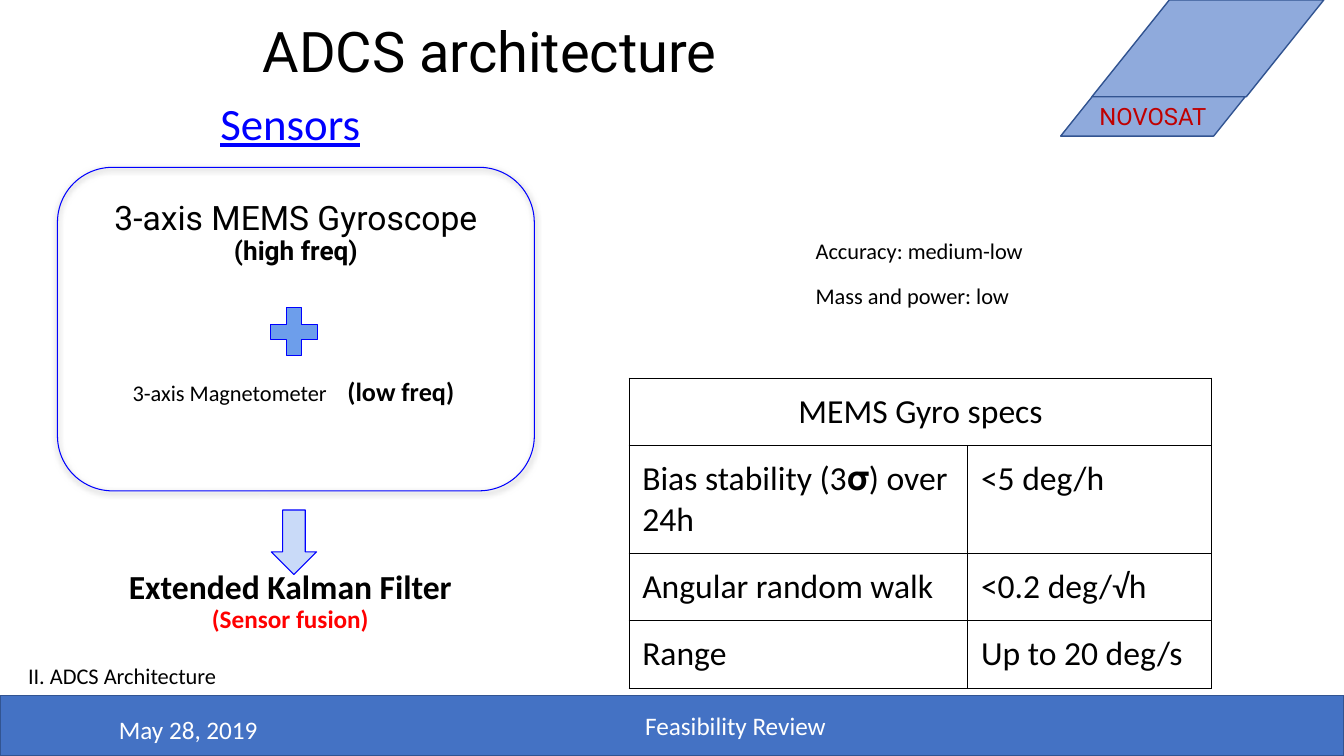
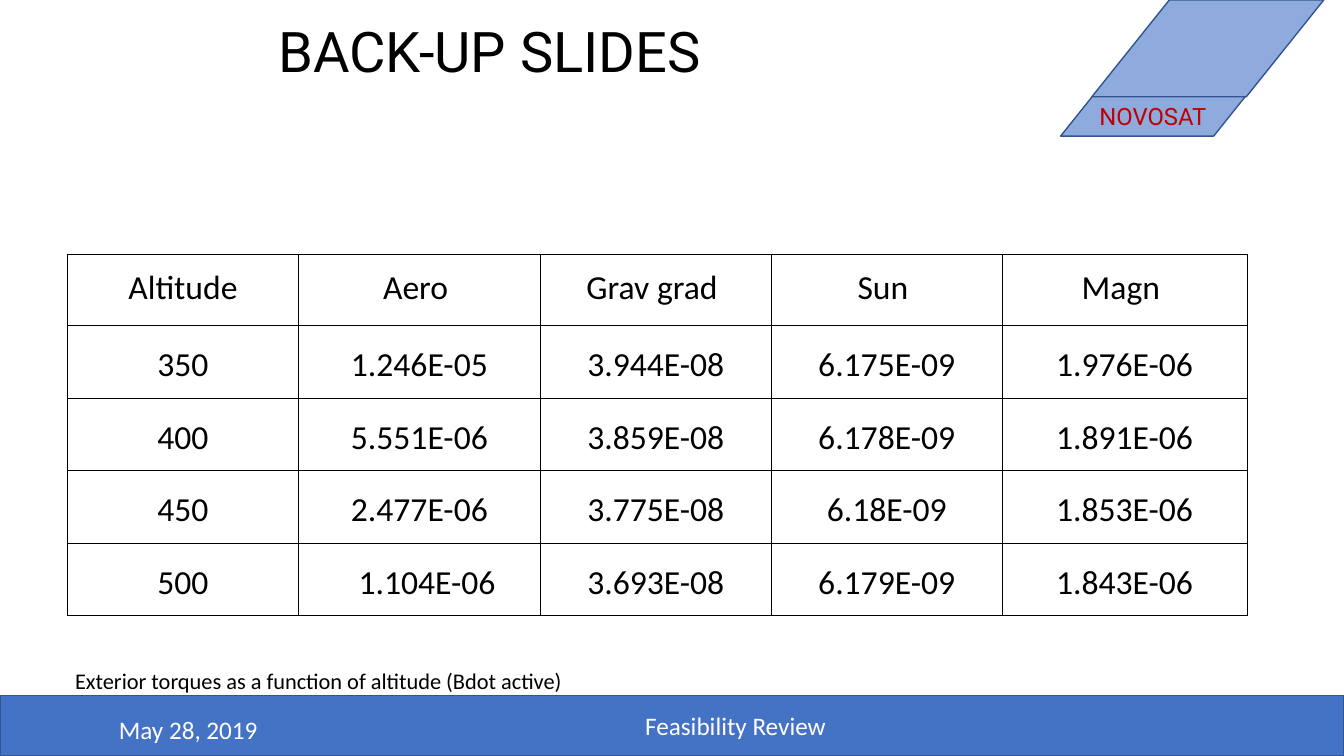
"""Build two attitude control slides with a shared frame."""
import dataclasses

import lxml.etree
import pptx
import pptx.dml.color
import pptx.enum.shapes
import pptx.enum.text
import pptx.oxml
import pptx.oxml.ns
import pptx.util

Inches = pptx.util.Inches
Pt = pptx.util.Pt
RGBColor = pptx.dml.color.RGBColor
SHAPE = pptx.enum.shapes.MSO_SHAPE
ALIGN = pptx.enum.text.PP_ALIGN
qn = pptx.oxml.ns.qn

BLACK = RGBColor(0x00, 0x00, 0x00)
WHITE = RGBColor(0xFF, 0xFF, 0xFF)
RED = RGBColor(0xFF, 0x00, 0x00)
DARK_RED = RGBColor(0xC0, 0x00, 0x00)
BLUE = RGBColor(0x00, 0x00, 0xFF)
BAND_BLUE = RGBColor(0x44, 0x72, 0xC4)
BADGE_BLUE = RGBColor(0x8F, 0xAA, 0xDC)
EDGE_BLUE = RGBColor(0x32, 0x54, 0x91)
PLUS_BLUE = RGBColor(0x6D, 0x9E, 0xEB)
ARROW_BLUE = RGBColor(0xC9, 0xDA, 0xF8)

TITLE_AND_CONTENT, COMPARISON = 1, 4


@dataclasses.dataclass
class Run:
    """A piece of text with its look; tracking is in points."""
    text: str
    size: float = 16
    colour: RGBColor = BLACK
    bold: bool = False
    underline: bool = False
    font: str = "Calibri"
    tracking: float = 0


class Deck:
    """The shared style and the current slide."""

    margin = Inches(0.13)

    def __init__(self):
        """Start an empty widescreen presentation."""
        self.presentation = pptx.Presentation()
        self.presentation.slide_width = Inches(13.33)
        self.presentation.slide_height = Inches(7.5)
        self.slide = None

    def new_slide(self, title, layout):
        """Add a slide with its title, band and badge."""
        self.slide = self.presentation.slides.add_slide(
            self.presentation.slide_layouts[layout])
        self.placeholder(0, (0.21, 0.11, 9.29, 1.23),
                         [[Run(title, 40, font="Roboto")]], after=0, before=0)
        self.shape(SHAPE.RECTANGLE, (0, 6.9, 13.33, 0.6), BAND_BLUE, EDGE_BLUE, 1)
        self.shape(SHAPE.PARALLELOGRAM, (10.83, 0, 2.3, 0.96),
                   BADGE_BLUE, EDGE_BLUE, 1, [0.8])
        badge = self.shape(SHAPE.PARALLELOGRAM, (10.52, 0.96, 1.83, 0.39),
                           BADGE_BLUE, EDGE_BLUE, 1, [0.8])
        badge.text_frame.word_wrap = False
        badge.text_frame.vertical_anchor = pptx.enum.text.MSO_ANCHOR.MIDDLE
        self.fill_text(badge.text_frame,
                       [[Run("NOVOSAT", 17, DARK_RED, font="Roboto")]], 0)
        self.text_box((6.3, 7, 2.84, 0.4), Run("Feasibility Review", 18, WHITE))
        self.text_box((1.08, 7.04, 3.04, 0.4), Run("May 28, 2019", 18, WHITE))

    def fill_text(self, frame, paragraphs, margin, align=ALIGN.CENTER,
                  spacing=1.0, before=0, after=0):
        """Fill a text frame run by run."""
        frame.margin_left = frame.margin_right = margin
        frame.margin_top = frame.margin_bottom = margin
        for index, runs in enumerate(paragraphs):
            paragraph = frame.add_paragraph() if index else frame.paragraphs[0]
            self.format_paragraph(paragraph, runs, align, spacing)
            paragraph.space_before, paragraph.space_after = Pt(before), Pt(after)
            properties = paragraph._p.get_or_add_pPr()
            properties.set("marL", "0")
            properties.set("indent", "0")
            lxml.etree.SubElement(properties, qn("a:buNone"))

    def format_paragraph(self, paragraph, runs, align, spacing):
        """Align a paragraph and add its runs."""
        paragraph.alignment = align
        paragraph.line_spacing = spacing
        for item in runs:
            run = paragraph.add_run()
            run.text = item.text
            run.font.name = item.font
            run.font.size = Pt(item.size)
            run.font.bold = item.bold
            run.font.underline = item.underline
            run.font.color.rgb = item.colour
            if item.tracking:
                run.font._element.set("spc", str(int(item.tracking * 100)))

    def placeholder(self, index, box, paragraphs, align=ALIGN.CENTER,
                    spacing=0.9, before=10, after=21.3):
        """Move a template placeholder and put text in it."""
        shape = self.slide.placeholders[index]
        shape.left, shape.top, shape.width, shape.height = map(Inches, box)
        frame = shape.text_frame
        frame.word_wrap = True
        frame.auto_size = pptx.enum.text.MSO_AUTO_SIZE.NONE
        frame.vertical_anchor = pptx.enum.text.MSO_ANCHOR.TOP
        self.fill_text(frame, paragraphs, self.margin, align, spacing, before, after)

    def text_box(self, box, run):
        """Add a left-aligned line of text."""
        frame = self.slide.shapes.add_textbox(*map(Inches, box)).text_frame
        frame.word_wrap = True
        self.fill_text(frame, [[run]], Inches(0.05), ALIGN.LEFT)
        frame.margin_left = frame.margin_right = Inches(0.1)

    def shape(self, kind, box, fill, line, width=0.75, adjustments=()):
        """Add a preset shape without a shadow; a fill of None is empty."""
        shape = self.slide.shapes.add_shape(kind, *map(Inches, box))
        shape.shadow.inherit = False
        if fill is None:
            shape.fill.background()
        else:
            shape.fill.solid()
            shape.fill.fore_color.rgb = fill
        shape.line.color.rgb = line
        shape.line.width = Pt(width)
        for index, value in enumerate(adjustments):
            shape.adjustments[index] = value
        return shape

    def soft_shadow(self, shape):
        """Give a shape a soft shadow below it."""
        effects = shape._element.spPr.find(qn("a:effectLst"))
        shadow = lxml.etree.SubElement(
            effects, qn("a:outerShdw"), blurRad=str(Pt(4.5)), dist=str(Pt(1.5)),
            dir="5400000", algn="bl", rotWithShape="0")
        colour = lxml.etree.SubElement(shadow, qn("a:srgbClr"), val=str(BLACK))
        lxml.etree.SubElement(colour, qn("a:alpha"), val="50000")

    def table(self, left, top, widths, heights, rows, body_align, body_spacing):
        """Add a plain ruled table with a centred first row."""
        table = self.slide.shapes.add_table(
            len(heights), len(widths), Inches(left), Inches(top),
            Inches(sum(widths)), Inches(sum(heights))).table
        table.first_row = table.horz_banding = False
        for column, width in zip(table.columns, widths):
            column.width = Inches(width)
        for row, height in zip(table.rows, heights):
            row.height = Inches(height)
        for row_index, row in enumerate(rows):
            align, spacing = (body_align, body_spacing) if row_index else (ALIGN.CENTER, 1.0)
            for column_index, text in enumerate(row):
                cell = table.cell(row_index, column_index)
                cell.margin_left = cell.margin_right = self.margin
                cell.margin_top = cell.margin_bottom = self.margin
                self.rule(cell)
                cell.fill.background()
                if text:
                    self.format_paragraph(cell.text_frame.paragraphs[0],
                                          [Run(text, 24)], align, spacing)
        return table

    def rule(self, cell):
        """Draw a thin black border around a cell."""
        properties = cell._tc.get_or_add_tcPr()
        for side in ("lnL", "lnR", "lnT", "lnB"):
            line = lxml.etree.SubElement(properties, qn("a:" + side), w=str(Pt(0.75)))
            fill = lxml.etree.SubElement(line, qn("a:solidFill"))
            lxml.etree.SubElement(fill, qn("a:srgbClr"), val=str(BLACK))


def architecture_slide(deck):
    """Show the sensors, their fusion and the gyroscope figures."""
    deck.new_slide("ADCS architecture", COMPARISON)
    frame = deck.shape(SHAPE.ROUNDED_RECTANGLE, (0.57, 1.66, 4.73, 3.21),
                       None, BLUE, adjustments=[0.17])
    deck.soft_shadow(frame)
    deck.placeholder(1, (-0.1, 0.88, 5.96, 0.36),
                     [[Run("Sensors", 32, BLUE, underline=True)]])
    deck.placeholder(2, (0.86, 1.87, 4.15, 0.91), [[
        Run("3-axis MEMS Gyroscope ", 24, font="Roboto"),
        Run("(high freq)", 18.7, bold=True, font="Roboto")]])
    deck.placeholder(3, (0.78, 3.63, 4.26, 1.05), [[
        Run("3-axis Magnetometer"), Run(" ", tracking=11),
        Run("(low freq)", 18.7, bold=True)]])
    deck.placeholder(4, (0.75, 5.53, 4.26, 1.12), [[
        Run("Extended Kalman Filter ", 24, bold=True),
        Run("(Sensor fusion)", 18, RED, bold=True)]])
    accuracy = deck.slide.shapes.add_textbox(*map(Inches, (7.96, 2.18, 5.37, 1.12)))
    accuracy.text_frame.word_wrap = True
    deck.fill_text(accuracy.text_frame,
                   [[Run("Accuracy: medium-low")], [Run("Mass and power: low")]],
                   deck.margin, ALIGN.LEFT, 1.15, 10)
    deck.shape(SHAPE.MATH_PLUS, (2.6, 2.97, 0.63, 0.64), PLUS_BLUE, BLUE)
    deck.shape(SHAPE.DOWN_ARROW, (2.69, 5.06, 0.45, 0.64), ARROW_BLUE, BLUE)
    specs = deck.table(6.24, 3.75, [3.36, 2.42], [0.67, 1.07, 0.67, 0.67], [
        ("MEMS Gyro specs", ""),
        ("Bias stability (3𝛔) over 24h", "<5 deg/h"),
        ("Angular random walk", "<0.2 deg/√h"),
        ("Range", "Up to 20 deg/s"),
    ], ALIGN.LEFT, 1.0)
    specs.cell(0, 0).merge(specs.cell(0, 1))
    deck.text_box((0.18, 6.52, 5.96, 0.36), Run("II. ADCS Architecture"))


def backup_slide(deck):
    """Show the exterior torques by altitude."""
    deck.new_slide("BACK-UP SLIDES", TITLE_AND_CONTENT)
    torques = deck.table(0.67, 2.52, [2.29, 2.4, 2.29, 2.29, 2.43], [0.71] + [0.7] * 4, [
        ("Altitude", "Aero ", "Grav grad ", "Sun ", "Magn "),
        ("350", "1.246E-05", "3.944E-08", "6.175E-09", "1.976E-06"),
        ("400", "5.551E-06", "3.859E-08", "6.178E-09", "1.891E-06"),
        ("450", "2.477E-06", "3.775E-08", "6.18E-09", "1.853E-06"),
        ("500", "1.104E-06", "3.693E-08", "6.179E-09", "1.843E-06"),
    ], ALIGN.CENTER, 1.15)
    torques.cell(4, 1).margin_left = Inches(0.28)
    deck.placeholder(1, (0.18, 6.52, 5.96, 0.36),
                     [[Run("Exterior torques as a function of altitude (Bdot active)")]])


def main():
    """Build and save both slides."""
    deck = Deck()
    architecture_slide(deck)
    backup_slide(deck)
    deck.presentation.save("out.pptx")


if __name__ == "__main__":
    main()
